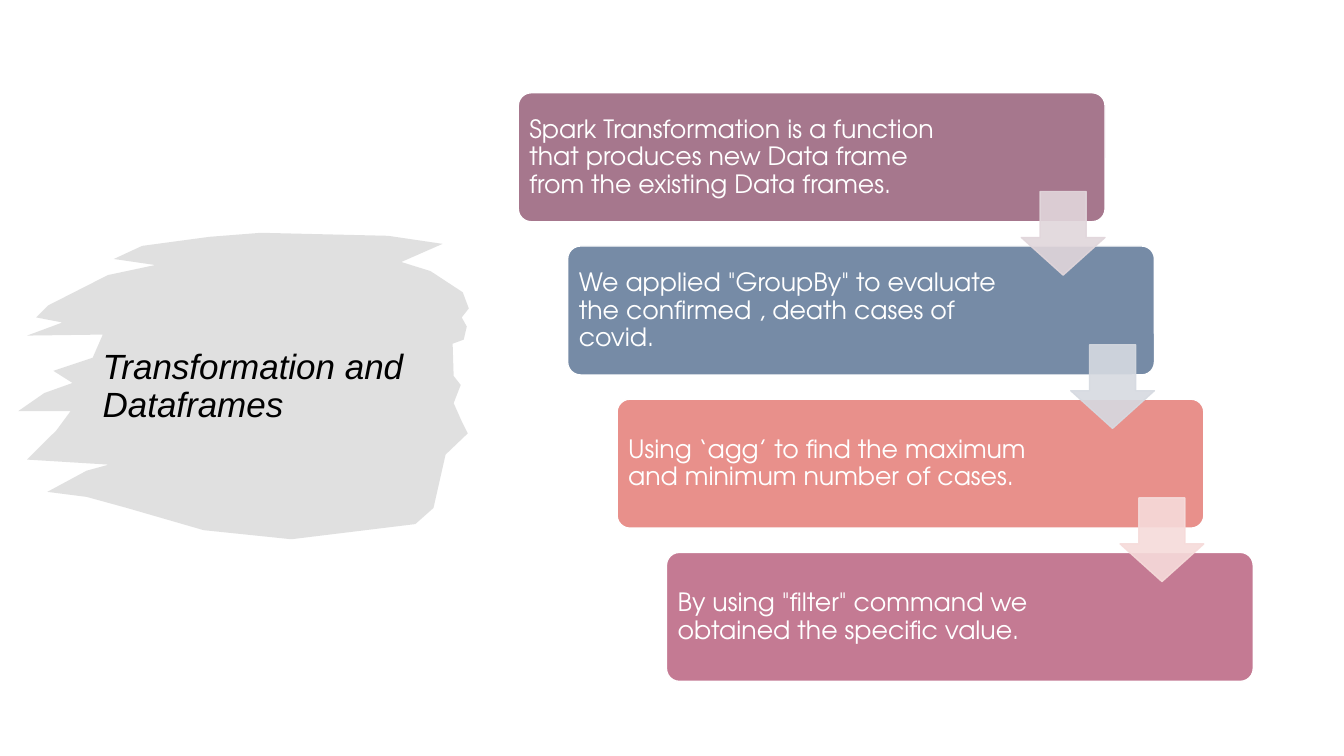
"""Build a slide with a brushed title and four cascading step cards."""
from lxml import etree
from pptx import Presentation
from pptx.dml.color import RGBColor
from pptx.enum.shapes import MSO_SHAPE
from pptx.enum.text import MSO_ANCHOR
from pptx.oxml.ns import qn
from pptx.util import Inches, Pt

ROUNDED = MSO_SHAPE.ROUNDED_RECTANGLE
DOWN_ARROW = MSO_SHAPE.DOWN_ARROW
MIDDLE = MSO_ANCHOR.MIDDLE
WHITE = RGBColor(0xFF, 0xFF, 0xFF)
BLACK = RGBColor(0x00, 0x00, 0x00)
BRUSH_GRAY = RGBColor(0xD9, 0xD9, 0xD9)
MAUVE = RGBColor(0xA6, 0x77, 0x8D)
SLATE = RGBColor(0x76, 0x8B, 0xA6)
CORAL = RGBColor(0xE8, 0x90, 0x8B)
ROSE = RGBColor(0xC4, 0x7A, 0x93)
PALE_MAUVE = RGBColor(0xE1, 0xD6, 0xDB)
PALE_SLATE = RGBColor(0xD6, 0xDA, 0xE1)
PALE_CORAL = RGBColor(0xF6, 0xDB, 0xDA)

BRUSH_OUTLINE = [
    (2.59, 2.31), (3.85, 2.34), (4.39, 2.42), (3.98, 2.6), (4.27, 2.69), (4.59, 2.9),
    (4.65, 3.06), (4.58, 3.15), (4.63, 3.24), (4.6, 3.37), (4.49, 3.41), (4.5, 3.73),
    (4.57, 3.82), (4.5, 4), (4.58, 4.18), (4.64, 4.3), (4.42, 4.51), (4.3, 5.04),
    (4.12, 5.2), (2.89, 5.35), (2.02, 5.26), (1.26, 5.04), (0.86, 4.93), (0.47, 4.88),
    (0.86, 4.67), (1.08, 4.61), (0.27, 4.56), (0.56, 4.27), (0.7, 4.08), (0.18, 4.08),
    (0.44, 3.9), (0.72, 3.8), (0.53, 3.68), (0.92, 3.55), (1.02, 3.32), (0.27, 3.33),
    (0.62, 3.2), (0.36, 3.15), (0.48, 3.03), (1.07, 2.73), (1.54, 2.63), (1.13, 2.57),
    (1.41, 2.44), (2.08, 2.35),
]

STEPS = [
    ("Spark Transformation is a function that produces new Data frame "
     "from the existing Data frames.", MAUVE, PALE_MAUVE),
    ('We applied "GroupBy" to evaluate the confirmed , death cases of covid. ',
     SLATE, PALE_SLATE),
    ("Using ‘agg’ to find the maximum and minimum number of cases. ",
     CORAL, PALE_CORAL),
    ('By using "filter" command we obtained the specific value.', ROSE, None),
]
CARD_LEFT, CARD_TOP = 5.14, 0.92
STEP_RIGHT, STEP_DOWN = 0.49, 1.52


def paint(shape, color, line_color=None, opacity=100):
    """Set a flat fill and an optional thin line, both with the same opacity."""
    shape.shadow.inherit = False
    shape.fill.solid()
    shape.fill.fore_color.rgb = color
    if line_color is None:
        shape.line.fill.background()
    else:
        shape.line.color.rgb = line_color
        shape.line.width = Pt(1)
    if opacity < 100:
        for tint in shape._element.spPr.iter(qn("a:srgbClr")):
            etree.SubElement(tint, qn("a:alpha"), val=str(opacity * 1000))


def add_text(text, *, left, top, width, height, font, size, color, inset, italic=False):
    """Add a wrapped, vertically centred text box."""
    box = page.shapes.add_textbox(Inches(left), Inches(top), Inches(width), Inches(height))
    frame = box.text_frame
    frame.word_wrap = True
    frame.vertical_anchor = MIDDLE
    frame.margin_left = frame.margin_right = Inches(inset)
    para = frame.paragraphs[0]
    para.line_spacing = 0.9
    span = para.add_run()
    span.text = text
    span.font.name = font
    span.font.size = Pt(size)
    span.font.italic = italic
    span.font.color.rgb = color


deck = Presentation()
deck.slide_width = Inches(13.33)
deck.slide_height = Inches(7.5)
page = deck.slides.add_slide(deck.slide_layouts[6])

points = [(Inches(x), Inches(y)) for x, y in BRUSH_OUTLINE]
builder = page.shapes.build_freeform(*points[0])
builder.add_line_segments(points[1:])
paint(builder.convert_to_shape(), BRUSH_GRAY, opacity=80)

add_text("Transformation and  Dataframes", left=0.92, top=1.64, width=3.52, height=4.4,
         font="Arial", size=25, color=BLACK, inset=0.1, italic=True)

for index, (text, color, _) in enumerate(STEPS):
    left = CARD_LEFT + index * STEP_RIGHT
    top = CARD_TOP + index * STEP_DOWN
    card = page.shapes.add_shape(ROUNDED, Inches(left), Inches(top), Inches(5.82), Inches(1.28))
    card.adjustments[0] = 0.1
    paint(card, color, WHITE)
    add_text(text, left=left + 0.04, top=top + 0.04, width=4.42 if index else 4.32, height=1.21,
             font="TeX Gyre Adventor", size=18, color=WHITE, inset=0.07)

for index, (_, _, color) in enumerate(STEPS[:-1]):
    arrow = page.shapes.add_shape(
        DOWN_ARROW, Inches(CARD_LEFT + 4.99 + index * STEP_RIGHT),
        Inches(CARD_TOP + 0.98 + index * STEP_DOWN), Inches(0.83), Inches(0.83))
    arrow.adjustments[0] = 0.55
    arrow.adjustments[1] = 0.45
    paint(arrow, color, color, opacity=90)

deck.save("out.pptx")
